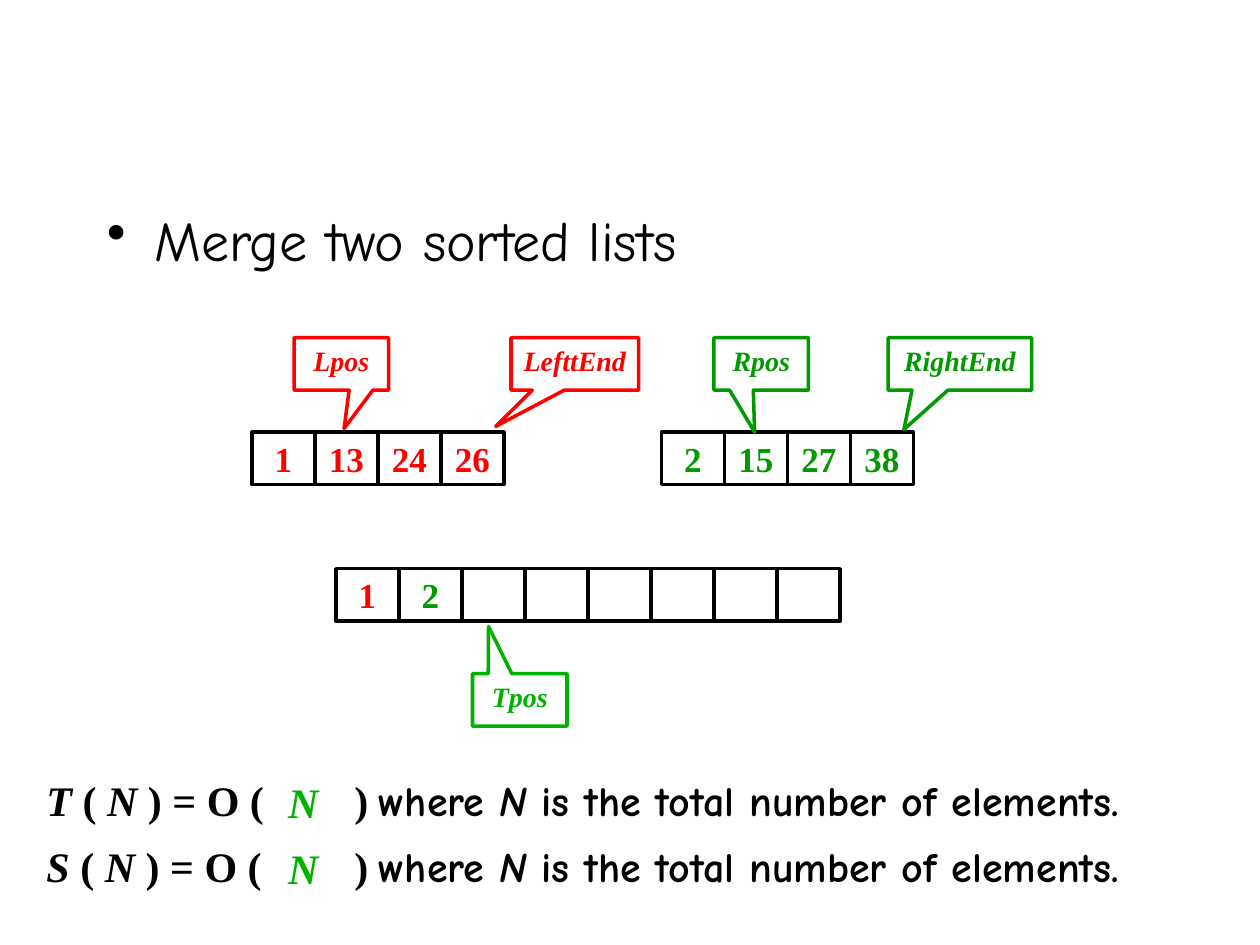
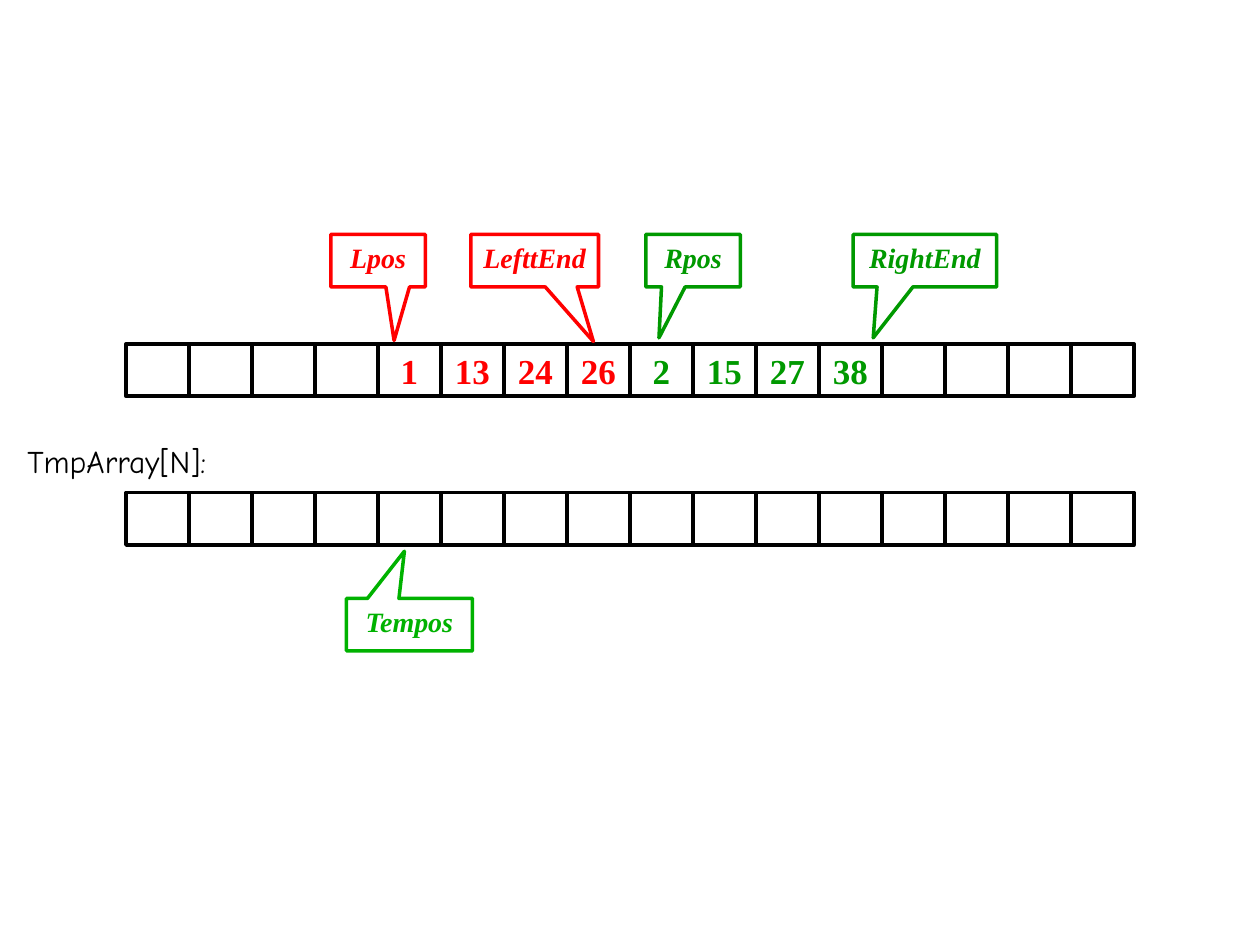
from dataclasses import dataclass

from lxml import etree
from pptx import Presentation
from pptx.dml.color import RGBColor
from pptx.enum.shapes import MSO_SHAPE as Shape
from pptx.enum.text import MSO_ANCHOR as Anchor, MSO_AUTO_SIZE as AutoSize, PP_ALIGN as Align
from pptx.oxml.ns import qn
from pptx.util import Pt


@dataclass(frozen=True)
class Theme:
    black: str = "000000"
    left_list: str = "FF0000"
    right_list: str = "009900"
    merged: str = "00B200"
    script: str = "Comic Neue"
    serif: str = "Times New Roman"
    bullet_size: int = 32
    formula_size: int = 24
    cell_size: int = 20
    label_size: int = 18
    marker_size: int = 16
    line_width: int = 2
    cell_width: int = 36
    box_height: int = 30
    marker_inset: float = 1.5


THEME = Theme()
BLANK_LAYOUT = 6


def tinted(colour, *values):
    """Pair each cell value with its colour."""
    return [(value, colour) for value in values]


LEFT_CELLS = tinted(THEME.left_list, "1", "13", "24", "26")
RIGHT_CELLS = tinted(THEME.right_list, "2", "15", "27", "38")


def empty_cells(count):
    return tinted(THEME.black, *[""] * count)


class ListDiagram:
    def __init__(self, deck, theme):
        self.deck = deck
        self.theme = theme
        self.slide = None

    def new_slide(self):
        self.slide = self.deck.slides.add_slide(self.deck.slide_layouts[BLANK_LAYOUT])

    def add_text(self, paragraph, text, size, colour, **font_format):
        run = paragraph.add_run()
        run.text = text
        run.font.color.rgb = RGBColor.from_string(colour)
        for attribute, value in {"size": Pt(size), **font_format}.items():
            setattr(run.font, attribute, value)

    def outline(self, shape, colour):
        shape.shadow.inherit = False
        shape.fill.background()
        shape.line.color.rgb = RGBColor.from_string(colour)
        shape.line.width = Pt(self.theme.line_width)

    def text_box(self, left, top, width, height, wrap=True, fit=AutoSize.SHAPE_TO_FIT_TEXT):
        """Add a box and return its first paragraph."""
        box = self.slide.shapes.add_textbox(Pt(left), Pt(top), Pt(width), Pt(height))
        box.text_frame.word_wrap = wrap
        box.text_frame.auto_size = fit
        return box.text_frame.paragraphs[0]

    def bullet(self, text, left, top, width, height, indent=27):
        paragraph = self.text_box(left, top, width, height, fit=AutoSize.NONE)
        properties = paragraph._p.get_or_add_pPr()
        properties.set("marL", str(Pt(indent)))
        properties.set("indent", str(Pt(-indent)))
        etree.SubElement(properties, qn("a:buChar"), char="•")
        self.add_text(paragraph, text, self.theme.bullet_size, self.theme.black,
                      name=self.theme.script)

    def label(self, text, left, top, width, height):
        self.add_text(self.text_box(left, top, width, height), text,
                      self.theme.label_size, self.theme.black, name=self.theme.script)

    def row(self, left, top, cells):
        """Group equal cells side by side, each with a value and its colour."""
        theme = self.theme
        group = self.slide.shapes.add_group_shape()
        for column, (value, colour) in enumerate(cells):
            cell = group.shapes.add_shape(
                Shape.RECTANGLE, Pt(left + column * theme.cell_width), Pt(top),
                Pt(theme.cell_width), Pt(theme.box_height))
            self.outline(cell, theme.black)
            if value:
                frame = cell.text_frame
                frame.word_wrap = False
                frame.vertical_anchor = Anchor.MIDDLE
                frame.paragraphs[0].alignment = Align.CENTER
                self.add_text(frame.paragraphs[0], value, theme.cell_size, colour,
                              name=theme.serif, bold=True)

    def marker(self, text, colour, left, top, width, tip):
        """Add a callout; tip is its point, as shares of the box from its centre."""
        theme = self.theme
        callout = self.slide.shapes.add_shape(
            Shape.RECTANGULAR_CALLOUT, Pt(left), Pt(top), Pt(width), Pt(theme.box_height))
        callout.adjustments[0], callout.adjustments[1] = tip
        self.outline(callout, colour)
        frame = callout.text_frame
        frame_format = {"margin_left": Pt(theme.marker_inset),
                        "margin_right": Pt(theme.marker_inset),
                        "vertical_anchor": Anchor.TOP, "word_wrap": True}
        for attribute, value in frame_format.items():
            setattr(frame, attribute, value)
        frame.paragraphs[0].alignment = Align.CENTER
        self.add_text(frame.paragraphs[0], text, theme.marker_size, colour,
                      name=theme.serif, bold=True, italic=True)

    def complexity(self, function, order, top, left=19.5, order_left=157.5, close_at=176):
        """Set out one cost formula, with the order placed in its brackets."""
        theme = self.theme
        formula = self.text_box(left, top, 692, 40)
        tabs = etree.SubElement(formula._p.get_or_add_pPr(), qn("a:tabLst"))
        etree.SubElement(tabs, qn("a:tab"), pos=str(Pt(close_at)), algn="l")
        parts = [(f"{function} ", theme.serif, True), ("( ", theme.serif, False),
                 ("N ", theme.serif, True), (") = O (\t) ", theme.serif, False),
                 ("where ", theme.script, False), ("N", theme.script, True),
                 (" is the total number of elements.", theme.script, False)]
        for text, font, italic in parts:
            self.add_text(formula, text, theme.formula_size, theme.black,
                          name=font, bold=True, italic=italic)
        self.add_text(self.text_box(order_left, top + 1, 32, 36, wrap=False), order,
                      theme.formula_size, theme.merged,
                      name=theme.serif, bold=True, italic=True)


def merge_slide(diagram):
    theme = diagram.theme
    diagram.new_slide()
    diagram.bullet("Merge two sorted lists", 54, 114, 606, 288)
    diagram.row(144, 247, LEFT_CELLS)
    diagram.row(378, 247, RIGHT_CELLS)
    diagram.row(192, 325, LEFT_CELLS[:1] + RIGHT_CELLS[:1] + empty_cells(6))
    for text, colour, left, top, width, tip in [
        ("Lpos", theme.left_list, 168, 193, 54, (0.03, 1.23)),
        ("LefttEnd", theme.left_list, 292, 193, 73, (-0.62, 1.19)),
        ("Rpos", theme.right_list, 408, 193, 54, (-0.07, 1.3)),
        ("RightEnd", theme.right_list, 507.5, 193, 82, (-0.39, 1.25)),
        ("Tpos", theme.merged, 270, 385, 54, (-0.33, -1.4)),
    ]:
        diagram.marker(text, colour, left, top, width, tip)
    for function, top in [("T", 439), ("S", 477)]:
        diagram.complexity(function, "N", top)


def shared_array_slide(diagram):
    theme = diagram.theme
    diagram.new_slide()
    diagram.row(72, 196.5, empty_cells(4) + LEFT_CELLS + RIGHT_CELLS + empty_cells(4))
    diagram.label("TmpArray[N]:", 8.5, 249, 142, 29)
    diagram.row(72, 281.5, empty_cells(16))
    for text, colour, left, top, width, tip in [
        ("Lpos", theme.left_list, 189, 134, 54, (0.17, 1.52)),
        ("LefttEnd", theme.left_list, 269, 134, 73, (0.46, 1.54)),
        ("Rpos", theme.right_list, 369, 134, 54, (-0.36, 1.47)),
        ("RightEnd", theme.right_list, 487.5, 134, 82, (-0.36, 1.47)),
        ("Tempos", theme.merged, 198, 342, 72, (-0.04, -1.4)),
    ]:
        diagram.marker(text, colour, left, top, width, tip)


def main():
    deck = Presentation()
    deck.slide_width, deck.slide_height = Pt(720), Pt(540)
    diagram = ListDiagram(deck, THEME)
    merge_slide(diagram)
    shared_array_slide(diagram)
    deck.save("out.pptx")


if __name__ == "__main__":
    main()
